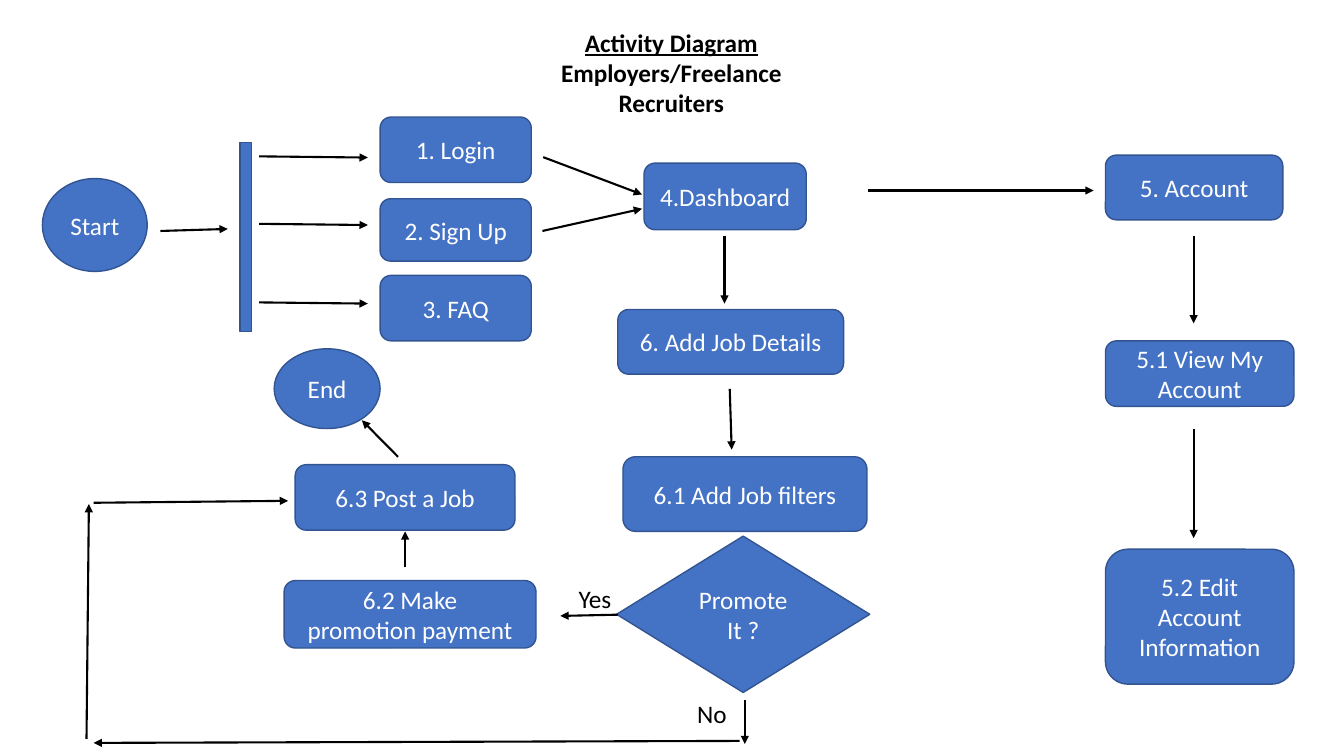
from dataclasses import dataclass
from lxml import etree
from pptx import Presentation
from pptx.dml.color import RGBColor
from pptx.enum.shapes import MSO_CONNECTOR, MSO_SHAPE
from pptx.enum.text import MSO_ANCHOR, PP_ALIGN
from pptx.oxml.ns import qn
from pptx.util import Cm, Pt

ROUND = MSO_SHAPE.ROUNDED_RECTANGLE
OVAL = MSO_SHAPE.OVAL
CHOICE = MSO_SHAPE.FLOWCHART_DECISION
MINUS = MSO_SHAPE.MATH_MINUS
LINE = MSO_CONNECTOR.STRAIGHT
MIDDLE = MSO_ANCHOR.MIDDLE
CENTER = PP_ALIGN.CENTER
LEFT = PP_ALIGN.LEFT


@dataclass(frozen=True)
class Theme:
    fill: RGBColor = RGBColor(0x44, 0x72, 0xC4)
    edge: RGBColor = RGBColor(0x32, 0x54, 0x91)
    ink: RGBColor = RGBColor(0, 0, 0)
    light: RGBColor = RGBColor(255, 255, 255)
    font: str = "Calibri"
    size: Pt = Pt(18)
    thin: Pt = Pt(1)
    thick: Pt = Pt(1.5)


THEME = Theme()


def add_run(para, text, color, align=CENTER, bold=False, under=False):
    para.alignment = align
    run = para.add_run()
    run.text = text
    font = run.font
    font.name, font.size = THEME.font, THEME.size
    font.bold, font.underline = bold, under
    font.color.rgb = color


def add_node(slide, box, kind, left, top, width, height, text=""):
    node = slide.shapes.add_shape(
        kind, Cm(box[0] + left), Cm(box[1] + top), Cm(width), Cm(height))
    node.shadow.inherit = False
    node.fill.solid()
    node.fill.fore_color.rgb = THEME.fill
    node.line.color.rgb = THEME.edge
    node.line.width = THEME.thin
    if text:
        frame = node.text_frame
        frame.word_wrap = True
        frame.vertical_anchor = MIDDLE
        add_run(frame.paragraphs[0], text, THEME.light)
    return node


def add_arrow(slide, box, x1, y1, x2, y2):
    arrow = slide.shapes.add_connector(
        LINE, Cm(box[0] + x1), Cm(box[1] + y1),
        Cm(box[0] + x2), Cm(box[1] + y2))
    arrow.line.color.rgb = THEME.ink
    arrow.line.width = THEME.thick
    etree.SubElement(arrow.line._get_or_add_ln(), qn("a:tailEnd"), type="triangle")
    etree.SubElement(arrow._element.spPr, qn("a:effectLst"))


def add_label(slide, box, left, top, width, height):
    label = slide.shapes.add_textbox(
        Cm(box[0] + left), Cm(box[1] + top), Cm(width), Cm(height))
    label.text_frame.word_wrap = True
    return label.text_frame


def draw_title(slide, box):
    frame = add_label(slide, box, 0, 0, 7.62, 3.33)
    add_run(frame.paragraphs[0], "Activity Diagram", THEME.ink,
            bold=True, under=True)
    add_run(frame.add_paragraph(), "Employers/Freelance Recruiters",
            THEME.ink, bold=True)


def draw_entry(slide, box):
    add_node(slide, box, OVAL, 0, 1.55, 2.64, 2.34, "Start")
    add_arrow(slide, box, 2.97, 2.87, 4.67, 2.82)
    add_node(slide, box, MINUS, 1.88, 2.41, 6.48, 1.22).rotation = 90
    for text, top, height, level in (
            ("1. Login", 0, 1.65, 0.99),
            ("2. Sign Up", 2.06, 1.57, 2.69),
            ("3. FAQ", 3.99, 1.65, 4.67)):
        add_node(slide, box, ROUND, 8.51, top, 3.81, height, text)
        add_arrow(slide, box, 5.46, level, 8.2, level + 0.03)
    add_arrow(slide, box, 12.62, 1.01, 15.11, 1.95)
    add_arrow(slide, box, 12.6, 2.87, 15.11, 2.31)


def draw_job(slide, box):
    for kind, left, top, width, height, text in (
            (ROUND, 0.69, 0, 4.09, 1.68, "4.Dashboard"),
            (ROUND, 0.03, 3.69, 5.69, 1.63, "6. Add\u00a0Job Details"),
            (ROUND, 0.16, 7.4, 6.15, 1.88, "6.1 Add Job filters"),
            (CHOICE, 0, 9.4, 6.38, 3.94, "Promote It ?")):
        add_node(slide, box, kind, left, top, width, height, text)
    for ends in (
            (6.33, 0.69, 12.02, 0.69),
            (2.72, 1.83, 2.72, 3.54),
            (2.85, 5.69, 2.9, 7.22),
            (3.23, 13.54, 3.23, 14.64)):
        add_arrow(slide, box, *ends)


def draw_post(slide, box):
    for kind, left, top, width, height, text in (
            (OVAL, 4.73, 0, 2.67, 2.01, "End"),
            (ROUND, 5.26, 2.92, 5.54, 1.65, "6.3 Post\u00a0a Job"),
            (ROUND, 4.98, 5.84, 6.35, 1.7, "6.2 Make promotion\u00a0payment")):
        add_node(slide, box, kind, left, top, width, height, text)
    for ends in (
            (13.39, 6.7, 11.94, 6.73),
            (8.03, 5.51, 8.03, 4.6),
            (7.85, 2.72, 6.94, 1.8),
            (16.46, 9.88, 0.18, 9.93),
            (0, 9.83, 0.06, 3.91),
            (0.18, 3.88, 5.08, 3.83)):
        add_arrow(slide, box, *ends)
    for text, left, top in (("Yes", 12.15, 5.79), ("No", 15.14, 8.69)):
        frame = add_label(slide, box, left, top, 7.62, 1.02)
        add_run(frame.paragraphs[0], text, THEME.ink, LEFT)


def draw_account(slide, box):
    for text, top, width, height in (
            ("5. Account", 0, 4.47, 1.63),
            ("5.1 View My Account", 4.68, 4.75, 1.65),
            ("5.2 Edit Account Information", 9.93, 4.75, 3.4)):
        add_node(slide, box, ROUND, 0, top, width, height, text)
    for top, base in ((2.03, 4.24), (6.89, 9.65)):
        add_arrow(slide, box, 2.22, top, 2.22, base)


deck = Presentation()
deck.slide_width, deck.slide_height = Cm(33.87), Cm(19.05)
page = deck.slides.add_slide(deck.slide_layouts[6])
draw_title(page, (13.11, 0.56))
draw_entry(page, (1.07, 2.95))
draw_job(page, (15.54, 4.11))
draw_post(page, (2.18, 8.79))
draw_account(page, (27.86, 3.91))
deck.save("out.pptx")
